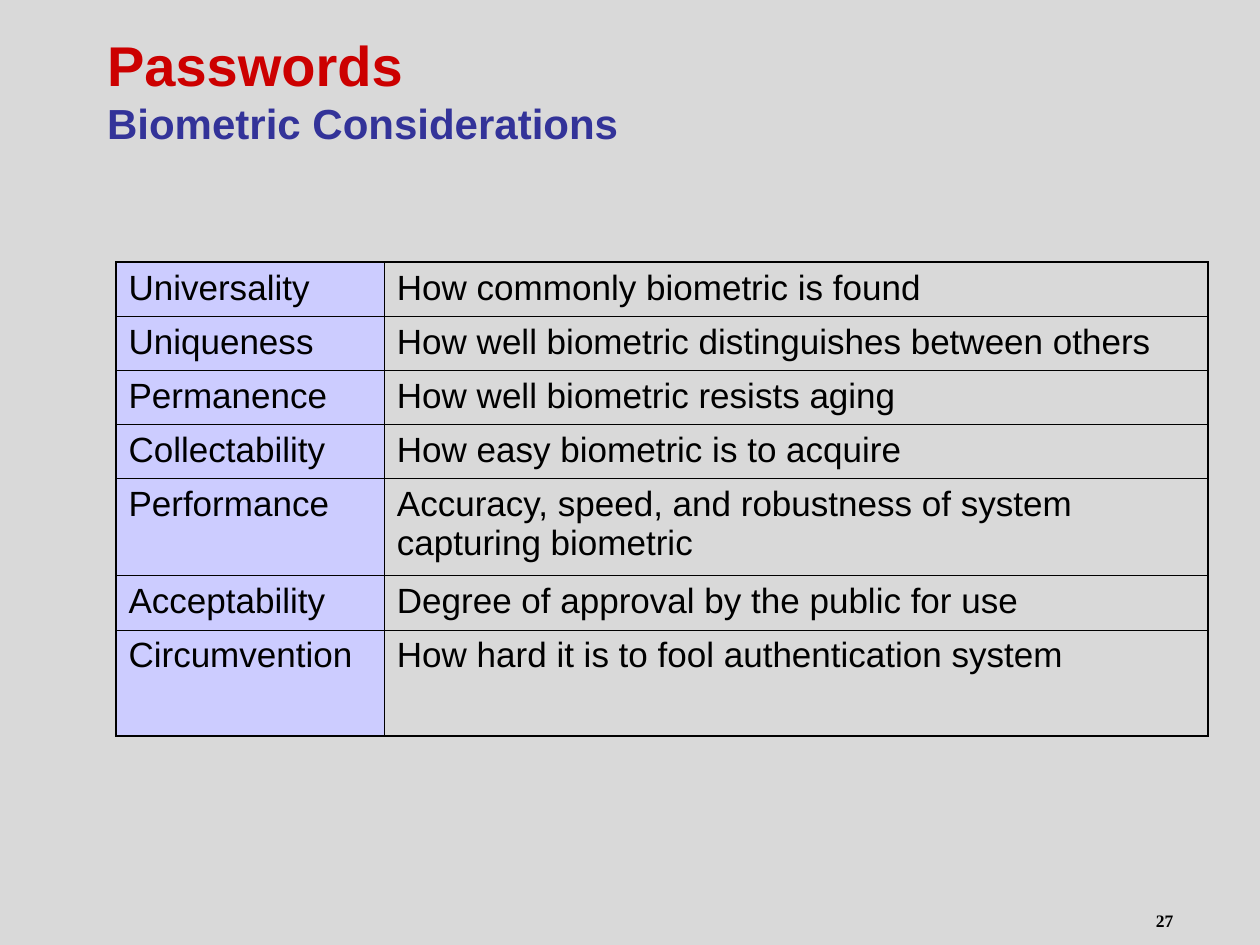
import copy
from dataclasses import dataclass

import pptx
import pptx.dml.color
import pptx.enum.text
import pptx.oxml
import pptx.oxml.ns
import pptx.util

Inches = pptx.util.Inches
Pt = pptx.util.Pt
Align = pptx.enum.text.PP_ALIGN
Anchor = pptx.enum.text.MSO_ANCHOR


@dataclass(frozen=True)
class Theme:
    """Colours, fonts and sizes used on the slide."""
    background: str = "D9D9D9"
    label_fill: str = "CCCCFF"
    border: str = "000000"
    outer_line: float = 1.08
    inner_line: float = 0.45
    heading: tuple = ("Arial", 32, "CC0000", True)
    subheading: tuple = ("Arial", 24, "333399", True)
    body: tuple = ("Arial", 20, "000000", False)
    number: tuple = ("Times New Roman", 10, "000000", True)


THEME = Theme()
CONSIDERATIONS = [
    ("Universality", "How commonly biometric is found", 0.43),
    ("Uniqueness", "How well biometric distinguishes between others", 0.43),
    ("Permanence", "How well biometric resists aging", 0.43),
    ("Collectability", "How easy biometric is to acquire", 0.43),
    ("Performance", "Accuracy, speed, and robustness of system capturing biometric", 0.77),
    ("Acceptability", "Degree of approval by the public for use", 0.43),
    ("Circumvention", "How hard it is to fool authentication system", 0.84),
]


def set_values(target, values):
    """Set each named attribute of the target."""
    for name, value in values.items():
        setattr(target, name, value)


def colour(code):
    """Return the colour for a hexadecimal code."""
    return pptx.dml.color.RGBColor.from_string(code)


def add_span(para, text, style):
    """Add a run of text in the given style."""
    face, size, code, bold = style
    span = para.add_run()
    span.text = text
    set_values(span.font, {"name": face, "size": Pt(size), "bold": bold})
    span.font.color.rgb = colour(code)
    return span


def place(shape, box):
    """Move and size a shape to a box given in inches."""
    names = ("left", "top", "width", "height")
    set_values(shape, {name: Inches(value) for name, value in zip(names, box)})


def add_title(page, box):
    """Fill the title placeholder with the heading and subheading."""
    title = page.shapes.title
    place(title, box)
    frame = title.text_frame
    set_values(frame, {
        "word_wrap": True,
        "auto_size": pptx.enum.text.MSO_AUTO_SIZE.NONE,
        "vertical_anchor": Anchor.MIDDLE,
    })
    para = frame.paragraphs[0]
    para.alignment = Align.LEFT
    heading = add_span(para, "Passwords", THEME.heading)
    para.add_line_break()
    line_break = para._p.find(pptx.oxml.ns.qn("a:br"))
    line_break.append(copy.deepcopy(heading._r.rPr))
    add_span(para, "Biometric Considerations", THEME.subheading)


def add_borders(cell, widths):
    """Draw the left, right, top and bottom borders of a cell."""
    properties = cell._tc.get_or_add_tcPr()
    for side, width in zip("LRTB", widths):
        properties.append(pptx.oxml.parse_xml(
            f'<a:ln{side} {pptx.oxml.ns.nsdecls("a")} w="{Pt(width)}">'
            f'<a:solidFill><a:srgbClr val="{THEME.border}"/></a:solidFill>'
            f'</a:ln{side}>'))


def add_considerations(page, box, label_width):
    """Add the table of considerations and their meanings."""
    left, top, width, height = map(Inches, box)
    last = len(CONSIDERATIONS) - 1
    table = page.shapes.add_table(last + 1, 2, left, top, width, height).table
    set_values(table, {"first_row": False, "horz_banding": False})
    table.columns[0].width = Inches(label_width)
    table.columns[1].width = width - Inches(label_width)
    for row, (label, meaning, row_height) in enumerate(CONSIDERATIONS):
        table.rows[row].height = Inches(row_height)
        for column, text in enumerate((label, meaning)):
            cell = table.cell(row, column)
            edges = (column == 0, column == 1, row == 0, row == last)
            add_borders(cell, [THEME.outer_line if edge else THEME.inner_line
                               for edge in edges])
            if column == 0:
                cell.fill.solid()
                cell.fill.fore_color.rgb = colour(THEME.label_fill)
            else:
                cell.fill.background()
            add_span(cell.text_frame.paragraphs[0], text, THEME.body)


def add_number(page, box):
    """Add the slide number at the right of its box."""
    frame = page.shapes.add_textbox(*map(Inches, box)).text_frame
    frame.word_wrap = True
    para = frame.paragraphs[0]
    para.alignment = Align.RIGHT
    add_span(para, "27", THEME.number)


def main():
    """Build and save the slide."""
    deck = pptx.Presentation()
    set_values(deck, {"slide_width": Inches(10), "slide_height": Inches(7.5)})
    page = deck.slides.add_slide(deck.slide_layouts.get_by_name("Title Only"))
    page.background.fill.solid()
    page.background.fill.fore_color.rgb = colour(THEME.background)
    add_title(page, (0.75, 0.08, 8.5, 1.25))
    add_considerations(page, (0.92, 2.08, 8.67, 3.76), 2.13)
    add_number(page, (7.33, 7.17, 2.08, 0.42))
    deck.save("out.pptx")


if __name__ == "__main__":
    main()
